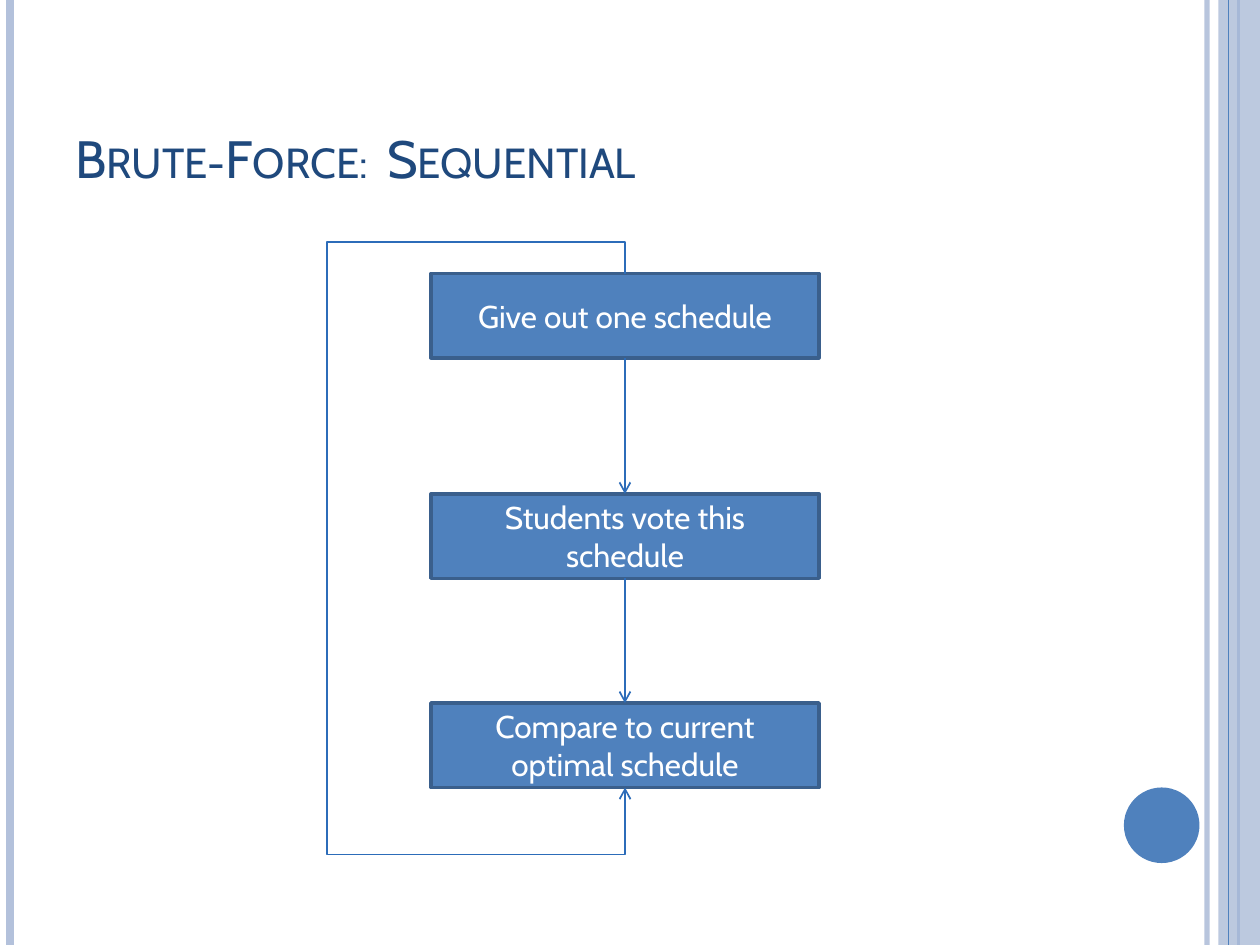
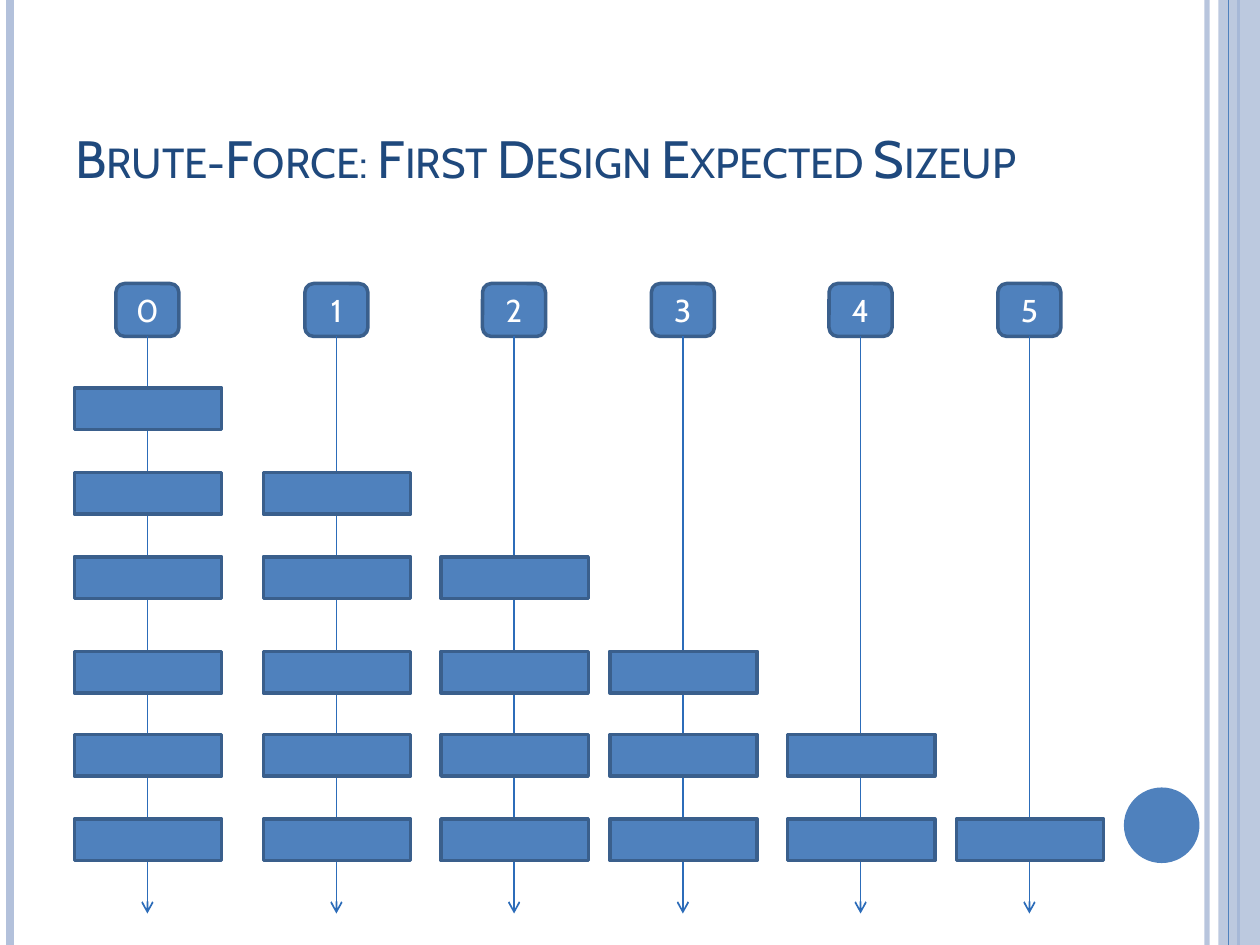
from dataclasses import dataclass
from lxml.etree import SubElement
from pptx import Presentation
from pptx.dml.color import RGBColor
from pptx.enum.shapes import MSO_CONNECTOR as LINK, MSO_SHAPE as FORM
from pptx.enum.text import MSO_ANCHOR, PP_ALIGN
from pptx.oxml.ns import qn
from pptx.util import Emu, Inches, Pt


@dataclass(frozen=True)
class Theme:
    """Colours, font and type sizes of the deck."""
    font: str = "Cabin"
    blue: str = "4F81BD"
    edge: str = "3A5F8C"
    wire: str = "2C6CB9"
    pale: str = "B3C1DB"
    navy: str = "1F497D"
    white: str = "FFFFFF"
    head: int = 30
    body: int = 18


def apply(item, values):
    """Set each named attribute of an item."""
    for name, value in values.items():
        setattr(item, name, value)


def fade(fill, percent):
    """Make a solid fill partly transparent."""
    tint = fill._xPr.find(qn("a:solidFill"))[0]
    SubElement(tint, qn("a:alpha")).set("val", str(percent * 1000))


class Deck:
    """Holds the style and the current slide."""

    def __init__(self, theme):
        """Start an empty deck."""
        self.theme = theme
        self.file = Presentation()
        apply(self.file, {"slide_width": Inches(10), "slide_height": Inches(7.5)})

    def page(self, title):
        """Add a slide with its side bands, disc and title."""
        look = self.theme
        self.slide = self.file.slides.add_slide(self.file.slide_layouts[6])
        self.shapes = self.slide.shapes
        edge = self.rule(9.58, look.pale, 3)
        fade(edge.line.fill, 93)
        self.rule(0.08, look.pale, 4.5)
        self.rule(9.83, look.blue, 1.5)
        band = self.shape(FORM.RECTANGLE, (9.67, 0, 0.33, 7.5), look.pale)
        fade(band.fill, 87)
        self.rule(9.75, look.blue, 0.75)
        self.shape(FORM.OVAL, (8.92, 6.25, 0.6, 0.6), look.blue)
        self.title(title)

    def title(self, text):
        """Set the slide title in small capitals."""
        box = self.shapes.add_textbox(*map(Inches, (0.5, 0.3, 8.17, 1.25)))
        look = self.theme
        run = self.label(box, text, look.head, look.navy,
                         PP_ALIGN.LEFT, MSO_ANCHOR.BOTTOM)
        run.font._element.set("cap", "small")

    def label(self, shape, text, size, color, align, anchor):
        """Put one styled run into a shape."""
        frame = shape.text_frame
        apply(frame, {"word_wrap": True, "vertical_anchor": anchor})
        para = frame.paragraphs[0]
        para.alignment = align
        run = para.add_run()
        run.text = text
        apply(run.font, {"name": self.theme.font, "size": Pt(size)})
        run.font.color.rgb = RGBColor.from_string(color)
        return run

    def shape(self, form, area, color):
        """Draw a plain filled shape."""
        item = self.shapes.add_shape(form, *map(Inches, area))
        item.shadow.inherit = False
        item.fill.solid()
        item.fill.fore_color.rgb = RGBColor.from_string(color)
        item.line.fill.background()
        return item

    def box(self, area, text="", form=FORM.RECTANGLE):
        """Draw an outlined box with a centred label."""
        look = self.theme
        item = self.shape(form, area, look.blue)
        item.line.color.rgb = RGBColor.from_string(look.edge)
        item.line.width = Pt(2)
        if text:
            self.label(item, text, look.body, look.white,
                       PP_ALIGN.CENTER, MSO_ANCHOR.MIDDLE)
        return item

    def line(self, start, end, color, width, kind=LINK.STRAIGHT):
        """Draw a connector between two points."""
        item = self.shapes.add_connector(kind, *map(Inches, (*start, *end)))
        item.line.color.rgb = RGBColor.from_string(color)
        item.line.width = Pt(width)
        SubElement(item._element.spPr, qn("a:effectLst"))
        return item

    def rule(self, x, color, width):
        """Draw a line over the full slide height."""
        return self.line((x, 0), (x, 7.5), color, width)

    def arrow(self, start, end, kind=LINK.STRAIGHT):
        """Draw a thin line with an open head at its end."""
        item = self.line(start, end, self.theme.wire, 1, kind)
        tail = SubElement(item.line._get_or_add_ln(), qn("a:tailEnd"))
        tail.set("type", "arrow")
        return item

    def loop(self, first, last, start, end, bends):
        """Lead an arrow from the top of one box round to the foot of another."""
        item = self.arrow(start, end, LINK.ELBOW)
        item.begin_connect(first, 0)
        item.end_connect(last, 2)
        span, thin = Inches(end[1] - start[1]), Emu(1588)
        apply(item, {"left": Inches(start[0]) - span // 2,
                     "top": Inches((start[1] + end[1]) / 2),
                     "width": span, "height": thin})
        props = item._element.spPr
        frame = props.find(qn("a:xfrm"))
        frame.attrib.clear()
        for name, value in {"rot": "16200000", "flipH": "1"}.items():
            frame.set(name, value)
        geom = props.find(qn("a:prstGeom"))
        geom.set("prst", "bentConnector5")
        guides = geom.find(qn("a:avLst"))
        up, side, down = bends
        ratios = (-up / (end[1] - start[1]), -Inches(side) / thin,
                  1 + down / (end[1] - start[1]))
        for rank, ratio in enumerate(ratios, 1):
            guide = SubElement(guides, qn("a:gd"))
            guide.set("name", f"adj{rank}")
            guide.set("fmla", f"val {round(ratio * 100000)}")


def flow(deck):
    """Build the sequential flow with its loop."""
    deck.page("Brute-Force:  Sequential")
    steps = {2.17: "Give out one schedule", 3.92: "Students vote this schedule",
             5.58: "Compare to current optimal schedule"}
    mid, high = 4.96, 0.67
    tops = list(steps)
    boxes = [deck.box((3.42, top, 3.08, high), text)
             for top, text in steps.items()]
    deck.loop(boxes[0], boxes[-1], (mid, tops[0]), (mid, tops[-1] + high),
              (0.25, 2.61, 0.53))
    for top, below in zip(tops, tops[1:]):
        deck.arrow((mid, top + high), (mid, below))


def stairs(deck):
    """Build the six timelines with their falling number of tasks."""
    deck.page("Brute-Force: First Design Expected Sizeup")
    mids = (1.17, 2.67, 4.08, 5.42, 6.83, 8.17)
    rows = (3.08, 3.75, 4.42, 5.17, 5.83, 6.5)
    for rank, mid in enumerate(mids):
        deck.box((mid - 0.25, 2.25, 0.5, 0.42), str(rank),
                 FORM.ROUNDED_RECTANGLE)
    for mid in mids:
        deck.arrow((mid, 2.67), (mid, 7.25))
    for rank, top in enumerate(rows, 1):
        for mid in mids[:rank]:
            deck.box((mid - 0.58, top, 1.17, 0.33))


deck = Deck(Theme())
flow(deck)
stairs(deck)
deck.file.save("out.pptx")
